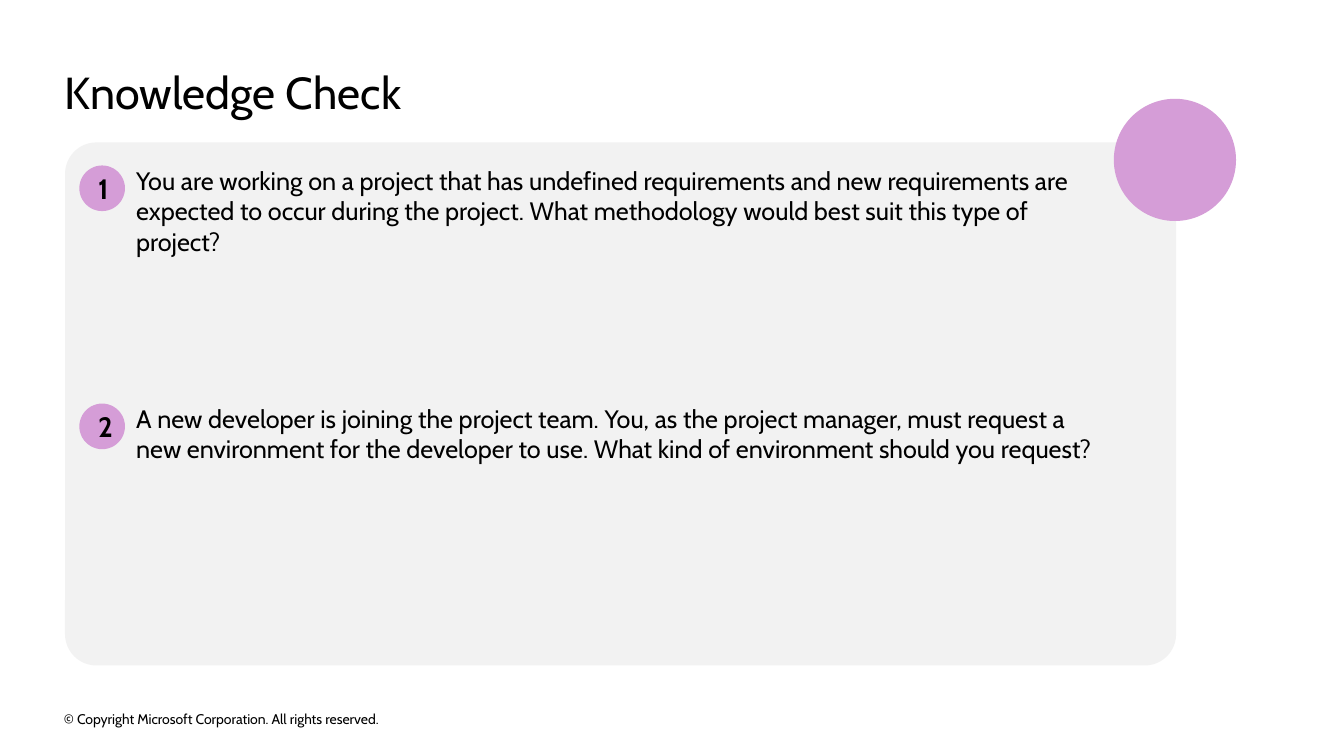
"""Build the Knowledge Check slide with two numbered questions."""
import pptx
import pptx.util
import pptx.dml.color
import pptx.enum.shapes
import pptx.enum.text

Cm = pptx.util.Cm
Kind = pptx.enum.shapes.MSO_SHAPE
Anchor = pptx.enum.text.MSO_ANCHOR
Align = pptx.enum.text.PP_ALIGN
BLACK, GREY, PINK = "000000", "F2F2F2", "D59DD7"

deck = pptx.Presentation()
deck.slide_width, deck.slide_height = Cm(33.87), Cm(19.05)
slide = deck.slides.add_slide(deck.slide_layouts[6])


def paint(color, code):
    """Set a colour from a hex string."""
    color.rgb = pptx.dml.color.RGBColor.from_string(code)


def add(kind, box, fill, text="", size=18, pad=(0, 0)):
    """Add a filled shape, or a text box when kind is None."""
    place = [Cm(n) for n in box]
    if kind is None:
        shape = slide.shapes.add_textbox(*place)
    else:
        shape = slide.shapes.add_shape(kind, *place)
        shape.shadow.inherit = False
        shape.fill.solid()
        paint(shape.fill.fore_color, fill)
        shape.line.fill.background()
    if text:
        frame = shape.text_frame
        frame.word_wrap = True
        frame.margin_left = frame.margin_right = Cm(pad[0])
        frame.margin_top = frame.margin_bottom = Cm(pad[1])
        run = frame.paragraphs[0].add_run()
        run.text = text
        run.font.name = "Cabin"
        run.font.size = pptx.util.Pt(size)
        paint(run.font.color, BLACK)
    return shape


legal = "© Copyright Microsoft Corporation. All rights reserved."
foot = add(None, (1.61, 17.83, 11.53, 0.56), None, legal, 10)
foot.text_frame.vertical_anchor = Anchor.MIDDLE

panel = add(Kind.ROUNDED_RECTANGLE, (1.64, 3.59, 28, 13.18), GREY)
panel.adjustments[0] = 0.06
add(Kind.OVAL, (28.07, 2.49, 3.08, 3.08), PINK)
add(None, (1.63, 1.63, 30.58, 1.37), None, "Knowledge Check", 32)

asks = [
    "You are working on a project that has undefined requirements and new "
    "requirements are expected to occur during the project. What methodology "
    "would best suit this type of project?",
    "A new developer is joining the project team. You, as the project manager, "
    "must request a new environment for the developer to use. What kind of "
    "environment should you request?",
]
for row, ask in enumerate(asks):
    top = 4.17 + 6 * row
    badge = add(Kind.OVAL, (2, top, 1.15, 1.15), PINK, str(row + 1), 20, (0.51, 0.41))
    badge.text_frame.vertical_anchor = Anchor.MIDDLE
    para = badge.text_frame.paragraphs[0]
    para.alignment = Align.CENTER
    para.runs[0].font.bold = True
    add(None, (3.43, top, 24.38, 2.31), None, ask)

deck.save("out.pptx")
